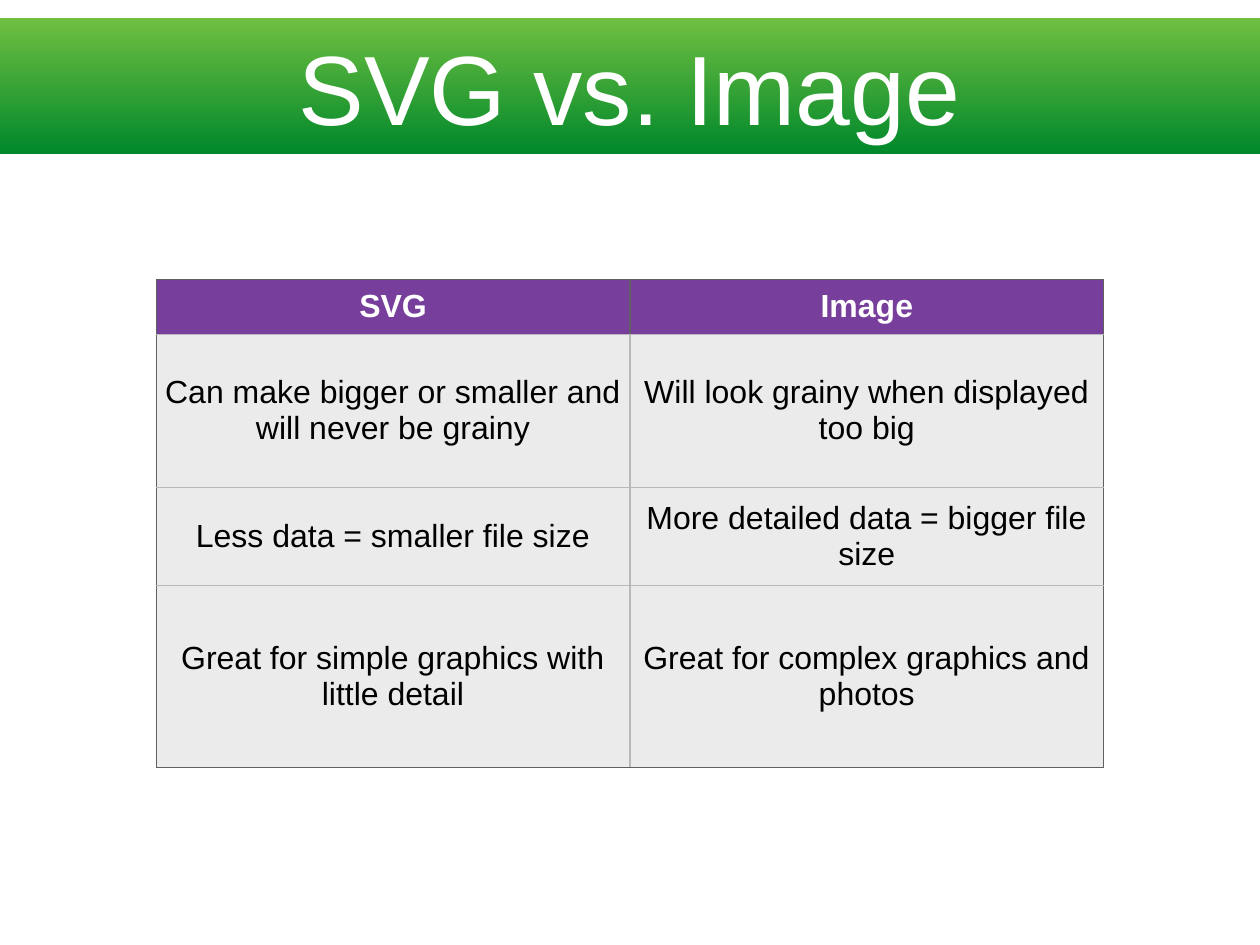
"""Build a slide that compares SVG with image files in a table."""
import lxml.etree
import pptx
import pptx.dml.color
import pptx.enum.text
import pptx.oxml.ns
import pptx.util

COLORS = {
    "white": "FFFFFF",
    "black": "000000",
    "light green": "70BF41",
    "dark green": "00882B",
    "purple": "773F9B",
    "pale gray": "EBEBEB",
    "inner border": "B8B8B8",
    "outer border": "606060",
}
COMPARISON = [
    ("SVG", "Image"),
    ("Can make bigger or smaller and will never be grainy",
     "Will look grainy when displayed too big"),
    ("Less data = smaller file size", "More detailed data = bigger file size"),
    ("Great for simple graphics with little detail",
     "Great for complex graphics and photos"),
]
ROW_HEIGHTS = [5.75, 16.2, 10.4, 19.3]


def rgb(name):
    """Return the named color."""
    return pptx.dml.color.RGBColor.from_string(COLORS[name])


class SlideBuilder:
    """Hold the style and the current slide, with lengths in percent of its size."""

    font_name = "Arial"
    title_size = pptx.util.Pt(80)
    table_size = pptx.util.Pt(26)
    inset = pptx.util.Inches(0.06)
    border_width = pptx.util.Pt(1)

    def __init__(self, presentation):
        """Add a title-only slide to the presentation."""
        self.width = presentation.slide_width
        self.height = presentation.slide_height
        self.slide = presentation.slides.add_slide(presentation.slide_layouts[5])

    def across(self, percent):
        """Return a share of the slide's width."""
        return round(self.width * percent / 100)

    def down(self, percent):
        """Return a share of the slide's height."""
        return round(self.height * percent / 100)

    def style_text(self, holder, size, color, bold=False):
        """Center the text of a shape or cell and set its font."""
        holder.vertical_anchor = pptx.enum.text.MSO_ANCHOR.MIDDLE
        holder.margin_left = holder.margin_right = self.inset
        holder.margin_top = holder.margin_bottom = self.inset
        text_frame = getattr(holder, "text_frame", holder)
        for paragraph in text_frame.paragraphs:
            paragraph.alignment = pptx.enum.text.PP_ALIGN.CENTER
            paragraph.font.name = self.font_name
            paragraph.font.size = size
            paragraph.font.bold = bold
            paragraph.font.color.rgb = rgb(color)

    def title_band(self, text, top, height, colors):
        """Turn the title into a full-width gradient band."""
        title = self.slide.shapes.title
        title.left, title.top = 0, self.down(top)
        title.width, title.height = self.width, self.down(height)
        title.fill.gradient()
        title.fill.gradient_angle = 270
        for position, (stop, color) in enumerate(zip(title.fill.gradient_stops, colors)):
            stop.position = position
            stop.color.rgb = rgb(color)
        title.text_frame.text = text
        title.text_frame.word_wrap = True
        title.text_frame.auto_size = pptx.enum.text.MSO_AUTO_SIZE.NONE
        self.style_text(title.text_frame, self.title_size, "white")

    def border(self, cell, side, color):
        """Draw one border of a cell."""
        properties = cell._tc.get_or_add_tcPr()
        line = lxml.etree.SubElement(
            properties, pptx.oxml.ns.qn(f"a:ln{side}"), w=str(self.border_width))
        fill = lxml.etree.SubElement(line, pptx.oxml.ns.qn("a:solidFill"))
        lxml.etree.SubElement(fill, pptx.oxml.ns.qn("a:srgbClr"), val=COLORS[color])

    def table(self, rows, row_heights, top, width):
        """Add a horizontally centered table with a header row."""
        column_count = len(rows[0])
        table = self.slide.shapes.add_table(
            len(rows), column_count, self.across((100 - width) / 2), self.down(top),
            self.across(width), self.down(sum(row_heights))).table
        table.horz_banding = False
        for row, height in zip(table.rows, row_heights):
            row.height = self.down(height)
        for row_index, texts in enumerate(rows):
            header = row_index == 0
            for column_index, text in enumerate(texts):
                cell = table.cell(row_index, column_index)
                cell.text = text
                self.style_text(cell, self.table_size,
                                "white" if header else "black", header)
                outer_sides = {
                    "L": header or column_index == 0,
                    "R": header or column_index == column_count - 1,
                    "T": header,
                    "B": row_index == len(rows) - 1,
                }
                for side, outer in outer_sides.items():
                    self.border(cell, side, "outer border" if outer else "inner border")
                cell.fill.solid()
                cell.fill.fore_color.rgb = rgb("purple" if header else "pale gray")


def main():
    """Build and save the slide."""
    presentation = pptx.Presentation()
    presentation.slide_width = pptx.util.Inches(14.22)
    presentation.slide_height = pptx.util.Inches(10.67)
    builder = SlideBuilder(presentation)
    builder.title_band("SVG vs. Image", top=1.9, height=14.4,
                       colors=("light green", "dark green"))
    builder.table(COMPARISON, ROW_HEIGHTS, top=29.6, width=75.2)
    presentation.save("out.pptx")


if __name__ == "__main__":
    main()
